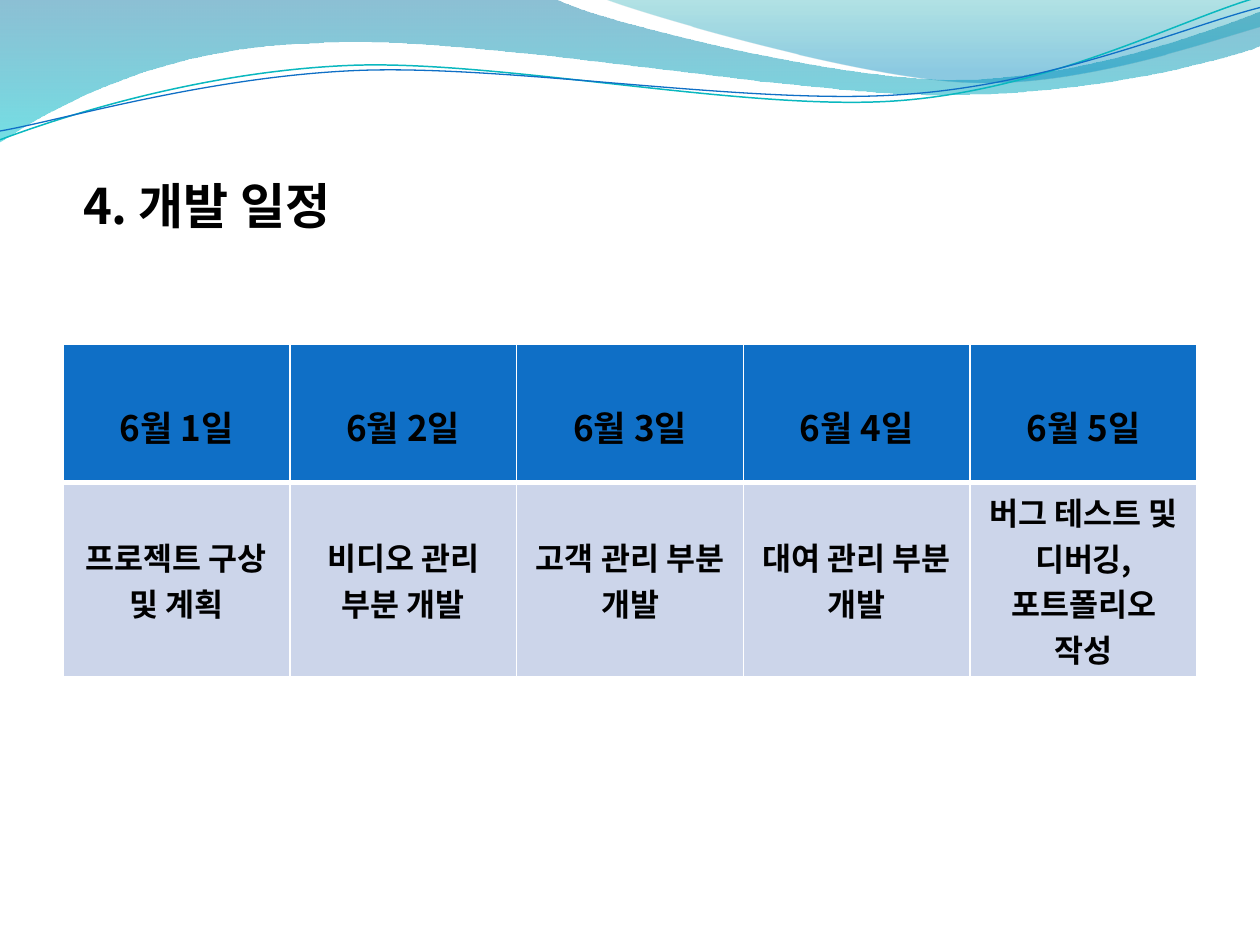
from dataclasses import dataclass
from typing import Optional

from lxml import etree
from pptx import Presentation
from pptx.dml.color import RGBColor
from pptx.enum import text
from pptx.oxml import ns
from pptx.util import Inches, Pt

FONT = "Noto Sans CJK KR"
COLORS = {
    "black": "000000", "white": "FFFFFF", "header": "0F6FC6", "body": "CCD5EA",
    "teal": "0AB8BF", "blue": "0F6FC6", "deep": "0074A1", "aqua": "00C6CF",
    "sea": "00A1A9", "sky": "008BBF",
}
Point = tuple[float, float]


@dataclass
class Stop:
    """A gradient stop with its position and opacity from 0 to 1."""
    position: float
    color: str
    opacity: float


@dataclass
class Wave:
    """A path of straight (one point) and cubic (three points) segments."""
    start: Point
    segments: list[tuple[Point, ...]]
    stops: tuple[Stop, ...] = ()
    color: str = ""
    width: float = 0


@dataclass
class Day:
    """One column of the schedule."""
    date: str
    task: str
    top: float = 0.41


WAVES = [
    Wave((0, 0), [
        ((4.4, -0.01),),
        ((4.76, 0.17), (6.64, 0.63), (7.58, 0.63)),
        ((8.53, 0.63), (9.58, 0.26), (10, 0.09)),
        ((10.01, 0.36),),
        ((9.83, 0.44), (8.7, 0.76), (7.46, 0.75)),
        ((6.22, 0.75), (3.82, 0.28), (2.57, 0.34)),
        ((1.29, 0.36), (0.46, 0.83), (-0.01, 1.13)),
    ], stops=(Stop(0, "deep", 0.45), Stop(1, "aqua", 0.55))),
    Wave((4.79, -0.01), [
        ((5.09, 0.11), (6.82, 0.62), (7.69, 0.65)),
        ((8.56, 0.69), (9.61, 0.32), (10, 0.21)),
        ((10, 0),),
    ], stops=(Stop(0, "sea", 0.3), Stop(0.8, "sky", 0.45))),
    Wave((0, 1.11), [
        ((0.48, 0.93), (1.58, 0.57), (2.77, 0.52)),
        ((3.95, 0.47), (5.93, 0.89), (7.13, 0.8)),
        ((8.33, 0.71), (9.38, 0.15), (9.98, -0.02)),
    ], color="teal", width=0.85),
    Wave((0, 1.04), [
        ((0.47, 0.96), (1.64, 0.61), (2.83, 0.56)),
        ((4.03, 0.51), (5.97, 0.84), (7.17, 0.75)),
        ((8.36, 0.67), (9.41, 0.21), (10, 0.06)),
    ], color="blue", width=0.75),
]
DAYS = [
    Day("6월 1일", "프로젝트 구상 및 계획"),
    Day("6월 2일", "비디오 관리 부분 개발"),
    Day("6월 3일", "고객 관리 부분 개발"),
    Day("6월 4일", "대여 관리 부분 개발"),
    Day("6월 5일", "버그 테스트 및 디버깅, 포트폴리오 작성", top=0.05),
]


def rgb(name: str) -> RGBColor:
    """Look up a named colour."""
    return RGBColor.from_string(COLORS[name])


def bend(sp, segments: list[tuple[Point, ...]]) -> None:
    """Merge the lines of each three-point segment into one cubic curve."""
    lines = iter(list(sp._element.iter(ns.qn("a:lnTo"))))
    for segment in segments:
        group = [next(lines) for _ in segment]
        if len(group) == 1:
            continue
        curve = etree.Element(ns.qn("a:cubicBezTo"))
        group[0].addprevious(curve)
        for line in group:
            curve.append(line[0])
            line.getparent().remove(line)


def draw_wave(s, wave: Wave) -> None:
    """Draw a wave as a gradient area or as a thin curve."""
    points = [wave.start] + [point for segment in wave.segments for point in segment]
    corners = [(Inches(x), Inches(y)) for x, y in points]
    builder = s.shapes.build_freeform(*corners[0])
    builder.add_line_segments(corners[1:], close=bool(wave.stops))
    sp = builder.convert_to_shape()
    bend(sp, wave.segments)
    sp.shadow.inherit = False
    if not wave.stops:
        sp.fill.background()
        sp.line.color.rgb = rgb(wave.color)
        sp.line.width = Pt(wave.width)
        return
    sp.line.fill.background()
    sp.fill.gradient()
    sp.fill.gradient_angle = 270
    for target, stop in zip(sp.fill.gradient_stops, wave.stops):
        target.color.rgb = rgb(stop.color)
        target.position = stop.position
    colors = sp._element.spPr.find(ns.qn("a:gradFill")).iter(ns.qn("a:srgbClr"))
    for color, stop in zip(colors, wave.stops):
        etree.SubElement(color, ns.qn("a:alpha"), val=str(round(stop.opacity * 100000)))


def write(tf, words: str, size: float, align: Optional[text.PP_ALIGN] = None):
    """Write one bold black paragraph and return it."""
    p = tf.paragraphs[0]
    p.text = words
    p.alignment = align
    p.font.size = Pt(size)
    p.font.bold = True
    p.font.color.rgb = rgb("black")
    p.font.name = FONT
    props = p._p.pPr.find(ns.qn("a:defRPr"))
    etree.SubElement(props, ns.qn("a:ea"), typeface=FONT)
    return p


def draw_title(s, words: str) -> None:
    """Draw the slide title."""
    sp = s.shapes.add_textbox(Inches(0.66), Inches(1.31), Inches(8.68), Inches(0.55))
    tf = sp.text_frame
    tf.word_wrap = True
    tf.vertical_anchor = text.MSO_ANCHOR.BOTTOM
    tf.margin_left = tf.margin_right = tf.margin_bottom = 0
    tf.margin_top = Inches(0.05)
    write(tf, words, 28).space_before = Pt(5.6)


def fill_cell(cell, words: str, size: float, fill: str, top: float,
              top_line: float, bottom_line: float) -> None:
    """Write a table cell and give it its fill and white borders."""
    cell.margin_top = Inches(top)
    write(cell.text_frame, words, size, text.PP_ALIGN.CENTER)
    props = cell._tc.get_or_add_tcPr()
    for side, width in (("L", 1), ("R", 1), ("T", top_line), ("B", bottom_line)):
        line = etree.SubElement(props, ns.qn(f"a:ln{side}"), w=str(Pt(width)))
        solid = etree.SubElement(line, ns.qn("a:solidFill"))
        etree.SubElement(solid, ns.qn("a:srgbClr"), val=COLORS["white"])
    cell.fill.solid()
    cell.fill.fore_color.rgb = rgb(fill)


def draw_schedule(s, days: list[Day]) -> None:
    """Draw the schedule with a column for each day."""
    heights = (1.1, 1.54)
    table = s.shapes.add_table(len(heights), len(days), Inches(0.5), Inches(2.73),
                               Inches(9), Inches(sum(heights))).table
    table.first_row = table.horz_banding = False
    for row, height in zip(table.rows, heights):
        row.height = Inches(height)
    for i, day in enumerate(days):
        fill_cell(table.cell(0, i), day.date, 20, "header", 0.45, 1, 3)
        fill_cell(table.cell(1, i), day.task, 18, "body", day.top, 3, 1)


def main() -> None:
    """Build the development schedule slide."""
    prs = Presentation()
    prs.slide_width, prs.slide_height = Inches(10), Inches(7.5)
    s = prs.slides.add_slide(prs.slide_layouts[6])
    for wave in WAVES:
        draw_wave(s, wave)
    draw_title(s, "4. 개발 일정")
    draw_schedule(s, DAYS)
    prs.save("out.pptx")


if __name__ == "__main__":
    main()
